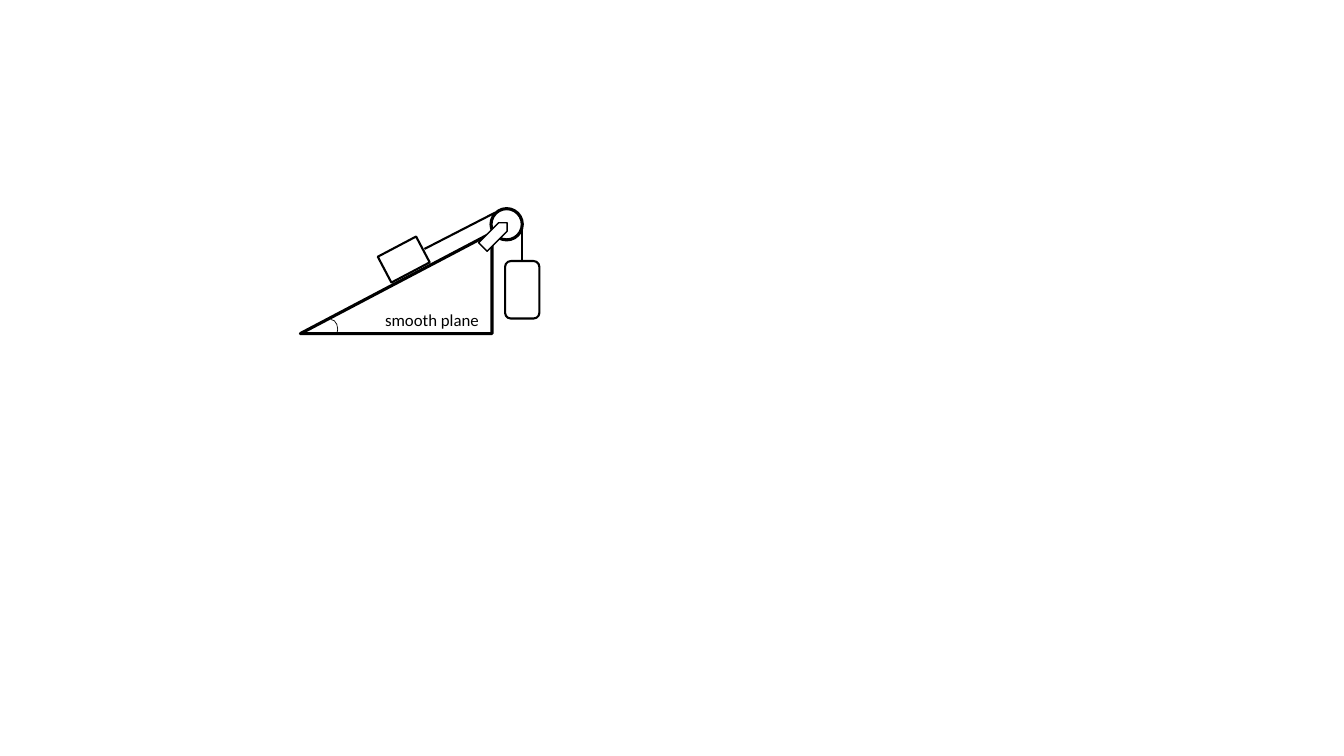
from pptx import Presentation
from pptx.dml.color import RGBColor
from pptx.enum.shapes import MSO_CONNECTOR as Connector, MSO_SHAPE as Preset
from pptx.enum.text import MSO_AUTO_SIZE as AutoSize
from pptx.oxml.ns import qn
from pptx.util import Inches, Pt
from lxml import etree

COLORS = {"ink": "000000", "paper": "FFFFFF"}
FONT = "Calibri"


class Diagram:
    """Holds the style and the current page."""

    def __init__(self, page):
        self.page = page
        self.ink = RGBColor.from_string(COLORS["ink"])
        self.paper = RGBColor.from_string(COLORS["paper"])

    def outline(self, item, weight):
        item.line.color.rgb = self.ink
        item.line.width = Pt(weight)

    def shape(self, preset, at, weight, filled=False, rotation=0, flipped=False):
        shape = self.page.shapes.add_shape(preset, *map(Inches, at))
        shape.shadow.inherit = False
        shape.rotation = rotation
        if filled:
            shape.fill.solid()
            shape.fill.fore_color.rgb = self.paper
        else:
            shape.fill.background()
        if flipped:
            shape._element.spPr.find(qn("a:xfrm")).set("flipH", "1")
        self.outline(shape, weight)
        return shape

    def cord(self, start, end, weight=1.5):
        cord = self.page.shapes.add_connector(
            Connector.STRAIGHT, *map(Inches, (*start, *end)))
        self.outline(cord, weight)
        etree.SubElement(cord._element.spPr, qn("a:effectLst"))
        return cord

    def label(self, text, at, size):
        box = self.page.shapes.add_textbox(*map(Inches, at))
        frame = box.text_frame
        frame.word_wrap = True
        frame.auto_size = AutoSize.SHAPE_TO_FIT_TEXT
        span = frame.paragraphs[0].add_run()
        span.text = text
        span.font.name = FONT
        span.font.size = Pt(size)
        span.font.color.rgb = self.ink


def main():
    deck = Presentation()
    deck.slide_width, deck.slide_height = Inches(13.33), Inches(7.5)
    diagram = Diagram(deck.slides.add_slide(deck.slide_layouts[6]))

    # Inclined plane with the block on it
    diagram.shape(Preset.RIGHT_TRIANGLE, (2.98, 2.31, 1.9, 1), 2.25, flipped=True)
    block = diagram.shape(Preset.RECTANGLE, (3.79, 2.43, 0.43, 0.29), 1.5,
                          rotation=332.2)
    diagram.label("smooth plane", (3.72, 3.02, 1.22, 0.3), 12)

    # Cord from the block to the pulley
    block_cord = diagram.cord((4.21, 2.47), (4.91, 2.11))
    block_cord.begin_connect(block, 3)
    # The block is turned, so its side lies off the unrotated position
    block_cord.begin_x, block_cord.begin_y = Inches(4.21), Inches(2.47)

    # Pulley and its bracket
    diagram.shape(Preset.OVAL, (4.87, 2.07, 0.31, 0.31), 2.25, filled=True)
    diagram.shape(Preset.PENTAGON, (4.74, 2.27, 0.34, 0.12), 1, filled=True,
                  rotation=315)

    # Hanging weight
    weight = diagram.shape(Preset.ROUNDED_RECTANGLE, (5.01, 2.59, 0.34, 0.57), 1.5,
                           filled=True)
    diagram.cord((5.18, 2.21), (5.18, 2.59)).end_connect(weight, 0)

    # Angle of the plane
    angle = diagram.shape(Preset.ARC, (3.22, 3.17, 0.13, 0.19), 0.5)
    angle.adjustments[0] = 162
    angle.adjustments[1] = 21.45

    deck.save("out.pptx")


if __name__ == "__main__":
    main()
